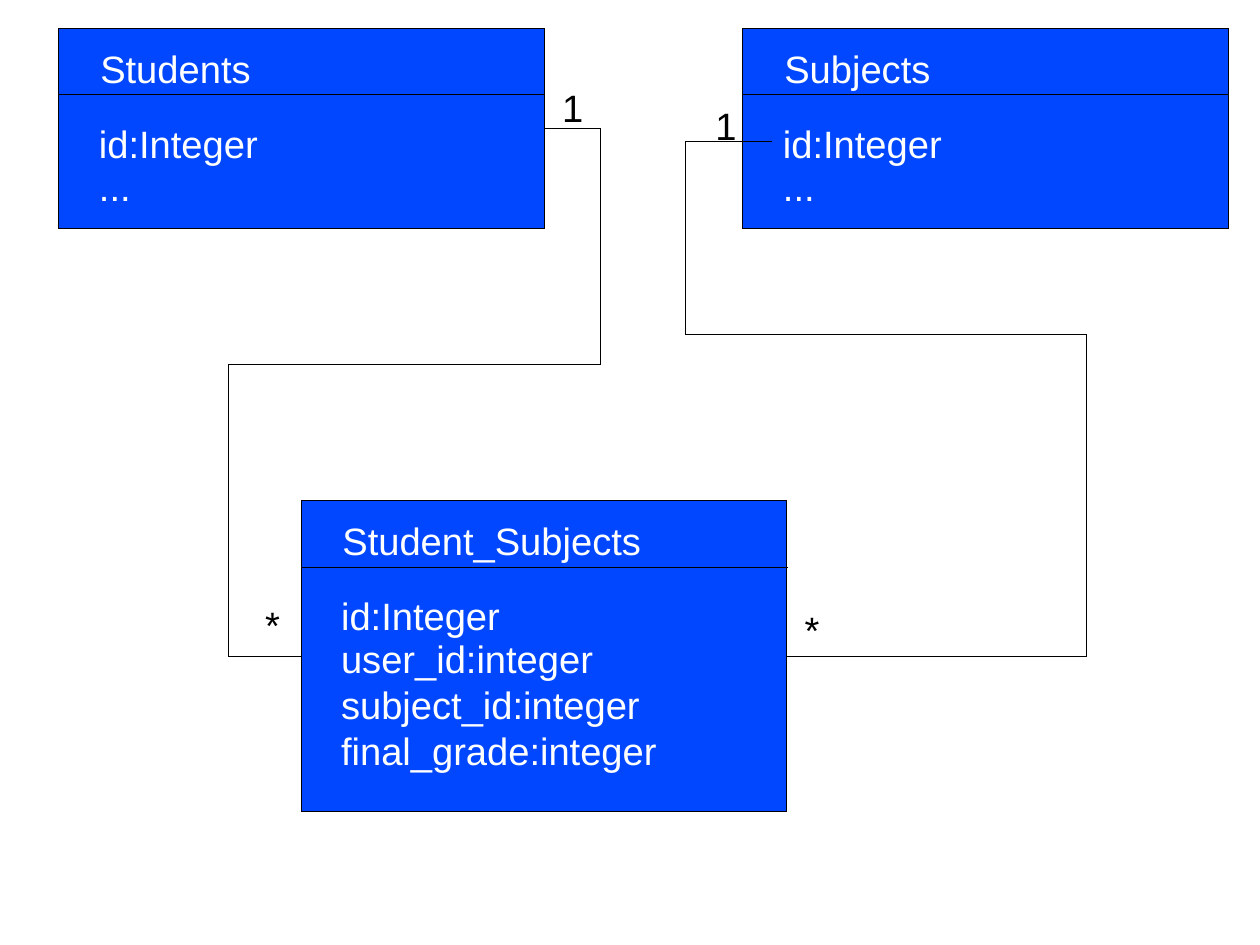
from lxml import etree
from pptx import Presentation
from pptx.dml.color import RGBColor
from pptx.enum.shapes import MSO_CONNECTOR as CONNECTOR, MSO_SHAPE as SHAPE
from pptx.enum.text import MSO_AUTO_SIZE as AUTO_SIZE
from pptx.oxml.ns import qn
from pptx.util import Cm, Pt

BLUE, BLACK, WHITE = "0047FF", "000000", "FFFFFF"
HAIRLINE = Pt(0.01)  # a width of exactly 0 is dropped and the theme's width applies
TABLE_WIDTH = 10.8
HEADER_HEIGHT = 1.47
LINE_HEIGHT = 1.19


def color(hex_text):
    return RGBColor.from_string(hex_text)


def add_text(text, left, top, width, height=LINE_HEIGHT, font_color=WHITE):
    box = slide.shapes.add_textbox(Cm(left), Cm(top), Cm(width), Cm(height))
    frame = box.text_frame
    frame.word_wrap = False
    frame.auto_size = AUTO_SIZE.SHAPE_TO_FIT_TEXT
    frame.text = text
    for para in frame.paragraphs:
        para.font.name = "Arial"
        para.font.size = Pt(24)
        para.font.color.rgb = color(font_color)


deck = Presentation()
deck.slide_width, deck.slide_height = Cm(28), Cm(21)
slide = deck.slides.add_slide(deck.slide_layouts[6])
lines = []

# Tables: name, left, top, height, name width, further fields, their width and height
tables = [
    ("Subjects", 16.51, 0.64, 4.44, 3.8, "...", 1.22, 2.13),
    ("Student_Subjects", 6.69, 11.13, 6.91, 7.16,
     "user_id:integer\nsubject_id:integer\nfinal_grade:integer", 7.54, 4.04),
    ("Students", 1.31, 0.64, 4.44, 3.88, "...", 1.22, 2.13),
]
for name, left, top, height, name_width, fields, fields_width, fields_height in tables:
    table = slide.shapes.add_shape(
        SHAPE.RECTANGLE, Cm(left), Cm(top), Cm(TABLE_WIDTH), Cm(height))
    table.shadow.inherit = False
    table.fill.solid()
    table.fill.fore_color.rgb = color(BLUE)
    table.line.color.rgb = color(BLACK)
    table.line.width = HAIRLINE

    add_text(name, left + 0.67, top + 0.25, name_width)
    add_text(fields, left + 0.64, top + 2.87, fields_width, fields_height)
    add_text("id:Integer", left + 0.64, top + 1.91, 4.06)

    divider_top = Cm(top + HEADER_HEIGHT)
    lines.append(slide.shapes.add_connector(
        CONNECTOR.STRAIGHT, Cm(left), divider_top, Cm(left + TABLE_WIDTH), divider_top))

# Relations: start, end, then the x, y and x of the three middle segments
relations = [
    ((12.11, 2.85), (6.69, 14.59), (13.35, 8.1, 5.08)),
    ((17.15, 3.14), (17.49, 14.59), (15.24, 7.44, 24.15)),
]
for start, end, bends in relations:
    relation = slide.shapes.add_connector(
        CONNECTOR.ELBOW, *(Cm(value) for value in start + end))
    geometry = relation._element.spPr.find(qn("a:prstGeom"))
    geometry.set("prst", "bentConnector5")
    adjustments = geometry.find(qn("a:avLst"))
    if adjustments is None:
        adjustments = etree.SubElement(geometry, qn("a:avLst"))
    for number, bend in enumerate(bends, 1):
        axis = (number - 1) % 2
        share = (bend - start[axis]) / (end[axis] - start[axis])
        etree.SubElement(adjustments, qn("a:gd"), name=f"adj{number}",
                         fmla=f"val {round(share * 100000)}")
    lines.append(relation)

for line in lines:
    line.line.color.rgb = color(BLACK)
    line.line.width = HAIRLINE
    etree.SubElement(line._element.spPr, qn("a:effectLst"))

multiplicities = [
    ("1", 12.24, 1.75, 0.97),
    ("1", 15.65, 2.15, 0.97),
    ("*", 5.64, 13.23, 0.84),
    ("*", 17.63, 13.35, 0.84),
]
for mark, left, top, width in multiplicities:
    add_text(mark, left, top, width, font_color=BLACK)

deck.save("out.pptx")
